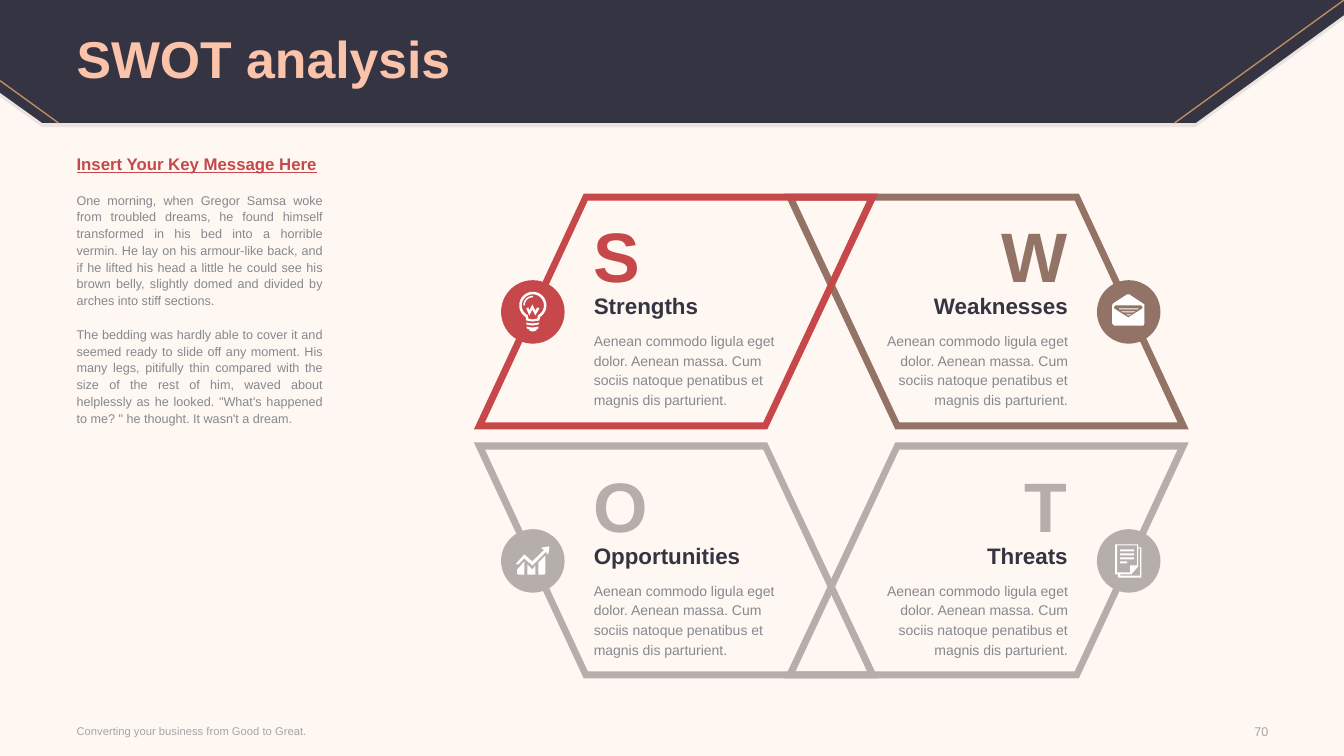
from math import cos, radians, sin

from lxml.etree import SubElement
from pptx import Presentation
from pptx.dml.color import RGBColor
from pptx.enum.shapes import MSO_CONNECTOR, MSO_SHAPE
from pptx.enum.text import MSO_ANCHOR, PP_ALIGN
from pptx.oxml.ns import qn
from pptx.util import Pt

PX = 9144  # 100 px to the inch
BG, NAVY, PEACH, GOLD = "FFF7F2", "343442", "FBC4AA", "BF8B62"
RED, BROWN, TAUPE = "C7484A", "927365", "B6AEAB"
GREY, PALE, WHITE = "85898F", "A6A6A6", "FFFFFF"
LEFT, RIGHT, JUSTIFY = PP_ALIGN.LEFT, PP_ALIGN.RIGHT, PP_ALIGN.JUSTIFY


def rgb(color):
    return RGBColor.from_string(color)


def emu(*lengths):
    return [round(v * PX) for v in lengths]


def add_text(tf, text, size=10, color=GREY, bold=False, underline=False,
             align=LEFT, spacing=None, before=0):
    """Fill the first empty paragraph, or append a new one."""
    p = tf.paragraphs[0]
    if p.runs:
        p = tf.add_paragraph()
        p.space_before = Pt(before)
    p.alignment = align
    p.line_spacing = spacing
    r = p.add_run()
    r.text = text
    f = r.font
    f.name, f.size, f.bold, f.underline = "Arial", Pt(size), bold, underline
    f.color.rgb = rgb(color)


class Canvas:
    """Holds the current slide and draws styled elements in px."""

    def __init__(self, slide, background):
        self.s = slide
        slide.background.fill.solid()
        slide.background.fill.fore_color.rgb = rgb(background)

    def paint(self, sp, color, alpha=None):
        sp.shadow.inherit = False
        sp.line.fill.background()
        sp.fill.solid()
        sp.fill.fore_color.rgb = rgb(color)
        if alpha is not None:
            clr = sp.fill._xPr.find(qn("a:solidFill"))[0]
            SubElement(clr, qn("a:alpha")).set("val", str(alpha * 1000))

    def outline(self, contours, color, alpha=None):
        first, *rest = [[emu(*pt) for pt in c] for c in contours]
        fb = self.s.shapes.build_freeform(*first[0], scale=1.0)
        fb.add_line_segments(first[1:], close=True)
        for c in rest:
            fb.move_to(*c[0])
            fb.add_line_segments(c[1:], close=True)
        self.paint(fb.convert_to_shape(), color, alpha)

    def circle(self, x, y, d, color):
        sp = self.s.shapes.add_shape(MSO_SHAPE.OVAL, *emu(x, y, d, d))
        self.paint(sp, color)

    def line(self, x1, y1, x2, y2, color):
        cn = self.s.shapes.add_connector(MSO_CONNECTOR.STRAIGHT, *emu(x1, y1, x2, y2))
        cn.line.color.rgb = rgb(color)
        cn.line.width = Pt(1)
        SubElement(cn._element.spPr, qn("a:effectLst"))

    def text(self, x, y, w, h, text, anchor=MSO_ANCHOR.TOP, **fmt):
        tf = self.s.shapes.add_textbox(*emu(x, y, w, h)).text_frame
        tf.word_wrap = True
        tf.vertical_anchor = anchor
        tf.margin_left = tf.margin_top = tf.margin_right = tf.margin_bottom = 0
        add_text(tf, text, **fmt)
        return tf


def box(x1, y1, x2, y2):
    return [(x1, y1), (x2, y1), (x2, y2), (x1, y2)]


def arc(r, start, end, cx=528.5, cy=303, steps=32):
    angles = [radians(start + (end - start) * i / steps) for i in range(steps + 1)]
    return [(cx + r * cos(a), cy + r * sin(a)) for a in angles]


# Icons, as lists of closed contours
BULB = [
    arc(13.5, 122, 418) + [(535, 318), (528, 319), (522, 318)],
    arc(11, 117, 423) + [(533, 316), (528, 317), (524, 316)],
    [(522, 320), (528, 321), (535, 320), (534, 322), (528, 323), (522, 322)],
    [(522, 324), (528, 325), (534, 324), (534, 326), (532, 327), (532, 328),
     (528, 329), (525, 328), (525, 327), (523, 326)],
    [(531, 308), (528, 302), (525, 308), (524, 305), (522, 306), (525, 313),
     (528, 307), (531, 313), (535, 306), (533, 305)],
    arc(9.5, 180, 270) + arc(8, 270, 180),
]
ENVELOPE = [
    [(1135, 302), (1120, 292), (1118, 292), (1104, 301), (1103, 303), (1103, 321),
     (1105, 323), (1134, 323), (1135, 321)],
    [(1133, 306), (1119, 315), (1105, 306), (1105, 304), (1106, 303), (1132, 303),
     (1133, 304)],
    [(1119, 313), (1120, 313), (1122, 312), (1117, 312)],
    [(1115, 310), (1124, 310), (1126, 309), (1112, 309)],
    box(1110, 306, 1129, 307),
]
CHART = [
    [(513, 569), (514, 570), (520, 570), (520, 557), (513, 565)],
    [(523, 560), (523, 570), (531, 570), (531, 561), (528, 565)],
    [(534, 558), (534, 570), (540, 570), (541, 569), (541, 551)],
    [(538, 543), (537, 544), (538, 545), (540, 545), (528, 557), (520, 550),
     (512, 559), (512, 560), (514, 560), (520, 554), (528, 561), (542, 547),
     (542, 549), (543, 550), (544, 549), (545, 542)],
]
PAGES = [
    [(1129, 543), (1129, 540), (1106, 540), (1106, 570), (1109, 570), (1109, 573),
     (1132, 573), (1132, 543)],
    [(1108, 568), (1108, 541), (1128, 541), (1128, 561), (1121, 561), (1121, 568)],
    [(1131, 571), (1111, 571), (1111, 570), (1122, 570), (1129, 562), (1129, 544),
     (1131, 544)],
    *[box(1111, y, 1125, y + 2) for y in (545, 549, 553)],
    box(1111, 557, 1118, 559),
]

# Quadrants in drawing order: column, row, letter, heading, colour, icon
QUADRANTS = [
    (1, 0, "W", "Weaknesses", BROWN, ENVELOPE),
    (0, 1, "O", "Opportunities", TAUPE, CHART),
    (1, 1, "T", "Threats", TAUPE, PAGES),
    (0, 0, "S", "Strengths", RED, BULB),
]
FRAME = [
    [(761, 426), (470, 426), (579, 192), (871, 192)],
    [(757, 419), (481, 419), (583, 199), (860, 199)],
]
BLURB = ("Aenean commodo ligula eget dolor. Aenean massa. Cum sociis natoque "
         "penatibus et magnis dis parturient.")
STORY = [
    "One morning, when Gregor Samsa woke from troubled dreams, he found himself "
    "transformed in his bed into a horrible vermin. He lay on his armour-like back, "
    "and if he lifted his head a little he could see his brown belly, slightly domed "
    "and divided by arches into stiff sections.",
    "The bedding was hardly able to cover it and seemed ready to slide off any moment. "
    "His many legs, pitifully thin compared with the size of the rest of him, waved "
    "about helplessly as he looked. \"What's happened to me? \" he thought. "
    "It wasn't a dream.",
]


def main():
    prs = Presentation()
    prs.slide_width, prs.slide_height = emu(1333, 750)
    c = Canvas(prs.slides.add_slide(prs.slide_layouts[6]), BG)

    # Header band with its soft shade and accent lines
    band = [(1186, 122), (42, 122), (0, 92), (0, 0), (1333, 0), (1333, 15)]
    c.outline([[(x, y + 4) for x, y in band]], NAVY, alpha=10)
    c.outline([band], NAVY)
    c.line(1333, 0, 1165, 122, GOLD)
    c.line(0, 80, 58, 122, GOLD)
    c.text(76, 3, 1181, 117, "SWOT analysis", MSO_ANCHOR.MIDDLE,
           size=37, color=PEACH, bold=True, spacing=0.9)

    # Key message
    tf = c.text(76, 156, 244, 519, "Insert Your Key Message Here", size=12, color=RED,
                bold=True, underline=True, align=JUSTIFY, spacing=Pt(12))
    for part in STORY:
        add_text(tf, part, size=9, align=JUSTIFY, spacing=Pt(12), before=12)

    # Footer
    c.text(76, 712, 523, 26, "Converting your business from Good to Great.",
           MSO_ANCHOR.MIDDLE, size=8, color=PALE)
    c.text(1195, 713, 63, 26, "70", MSO_ANCHOR.MIDDLE, size=9, color=PALE, align=RIGHT)

    # Frames, mirrored by column and row, with badges
    for col, row, _, _, color, icon in QUADRANTS:
        c.outline([[(1649 - x if col else x, 865 - y if row else y) for x, y in ring]
                   for ring in FRAME], color)
        c.circle(497 + 591 * col, 278 + 247 * row, 63, color)
        c.outline(icon, WHITE)

    # Quadrant texts
    for col, row, letter, heading, color, _ in QUADRANTS:
        x, dy, align = 589 + 276 * col, 248 * row, RIGHT if col else LEFT
        c.text(x, 327 + dy, 194, 79, BLURB, align=align, spacing=Pt(14))
        c.text(x, 290 + dy, 194, 27, heading, size=16, color=NAVY, bold=True, align=align)
        c.text(x, 211 + dy, 194, 84, letter, size=50, color=color, bold=True, align=align)

    prs.save("out.pptx")


if __name__ == "__main__":
    main()
